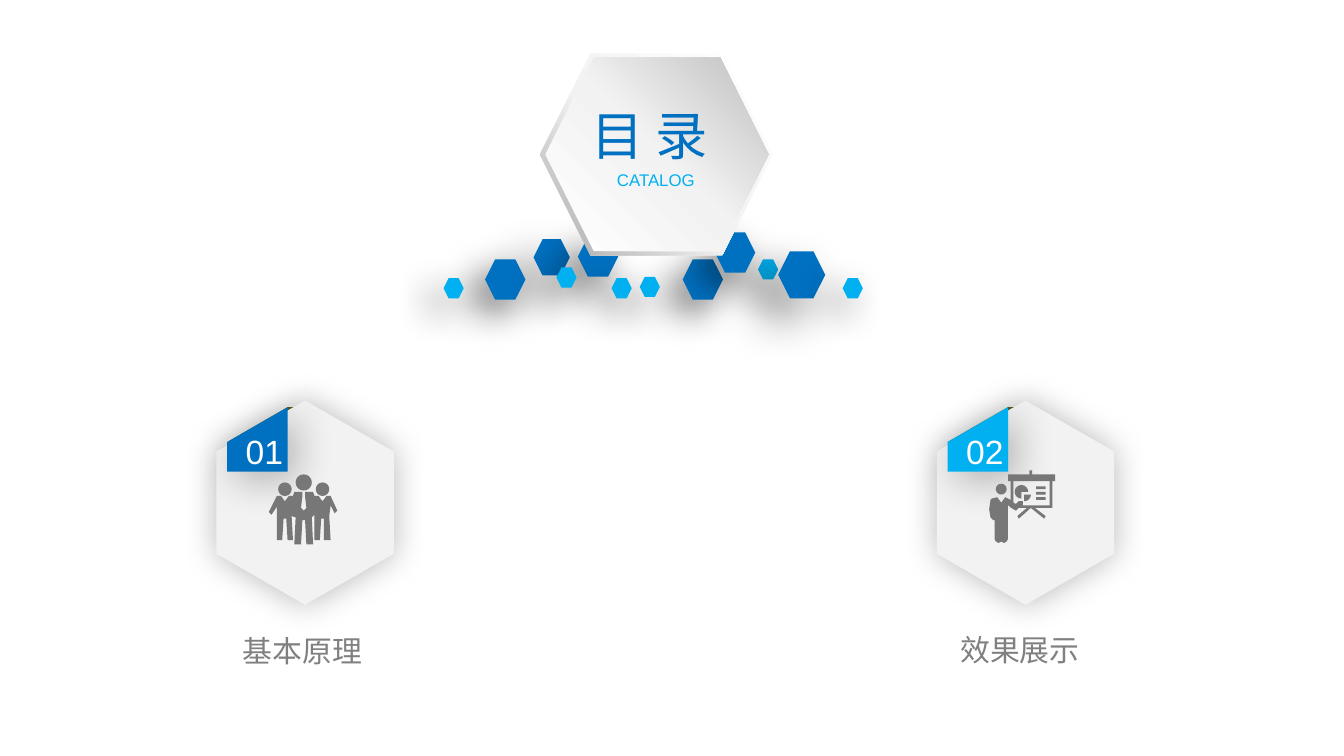
from copy import deepcopy
from dataclasses import dataclass
from math import cos, pi, sin

from pptx import Presentation
from pptx.dml.color import RGBColor
from pptx.enum.shapes import MSO_SHAPE as Shape
from pptx.enum.text import MSO_ANCHOR as Anchor, MSO_AUTO_SIZE as AutoSize, PP_ALIGN as Align
from pptx.oxml.ns import qn
from pptx.util import Pt
from lxml.etree import SubElement

PX = 9144  # 100 px to the inch
SLIDE_WIDTH = 1000 * PX
SLIDE_HEIGHT = SLIDE_WIDTH * 9 // 16


@dataclass(frozen=True)
class Theme:
    font: str = "Arial"
    blue: str = "0070C0"
    sky: str = "00B0F0"
    panel: str = "F2F2F2"
    fold: str = "5F6524"
    icon: str = "777777"
    label: str = "808080"
    white: str = "FFFFFF"
    title_size: int = 28
    number_size: int = 18
    label_size: int = 16
    subtitle_size: int = 9


THEME = Theme()

# Shadows: opacity %, blur pt, distance pt, direction in degrees
PANEL_SHADOW = (28, 18, 0, 0)
TAB_SHADOW = (28, 22, 6, 45)
NEAR_SHADOW = (60, 20, 10, 135)
FAR_SHADOW = (50, 25, 15, 135)

# Small hexagons, back to front: left, top, size
HEXAGONS = [
    (508, 193, 30), (476, 206, 15), (564, 193, 15), (397, 178, 27),
    (430, 176, 30), (455, 207, 15), (579, 187, 35), (361, 193, 30),
    (330, 207, 15), (532, 173, 30), (414, 199, 15), (627, 207, 15),
]


def arc(x, y, radius, start=0, end=360):
    """Points along an arc, clockwise from the right, in degrees."""
    angles = [(start + (end - start) * i / 24) * pi / 180 for i in range(25)]
    return [(x + radius * cos(a), y + radius * sin(a)) for a in angles]


def rectangle(left, top, right, bottom):
    return [(left, top), (right, top), (right, bottom), (left, bottom)]


PEOPLE = [
    arc(26, 6, 6), arc(40, 11, 5), arc(12, 11, 5),
    [(17, 31), (18, 49), (14, 49), (13, 33), (11, 33), (10, 49), (6, 49), (6, 24),
     (2, 30), (0, 28), (6, 16), (9, 16), (12, 20), (15, 16), (18, 16), (19, 13),
     (25, 13), (25, 16), (24, 25), (26, 27), (28, 25), (27, 16), (27, 13), (33, 13),
     (34, 16), (37, 16), (40, 20), (43, 16), (46, 16), (51, 27), (49, 29), (46, 23),
     (45, 31), (46, 49), (41, 49), (41, 33), (39, 33), (38, 49), (34, 49), (34, 30),
     (32, 32), (33, 52), (28, 52), (27, 34), (25, 34), (24, 52), (19, 52), (20, 32)],
]
BOARD = [
    [(32, 3), (32, 0), (30, 0), (30, 3), (14, 3), (14, 8), (16, 8), (16, 28), (28, 28),
     (21, 34), (22, 36), (31, 28), (41, 36), (42, 34), (34, 28), (47, 28), (47, 8),
     (49, 8), (49, 3)],
    rectangle(18, 8, 45, 26),
    [(24, 16)] + arc(24, 16, 5, 90, 360),
    [(26, 18)] + arc(26, 18, 5, 0, 90),
] + [rectangle(35, top, 42, top + 2) for top in (12, 16, 20)]
SPEAKER = [
    arc(9, 14, 4),
    [(14, 51), (13, 53), (11, 54), (9, 53), (7, 54), (5, 53), (4, 51), (4, 37), (3, 37),
     (1, 35), (0, 29), (1, 22), (2, 21), (6, 20), (9, 24), (12, 20), (16, 22), (18, 24),
     (20, 25), (22, 23), (25, 23), (25, 26), (22, 28), (20, 30), (18, 29), (14, 26)],
]

# Cards: left, top, number, tab colour, icon offset, icon parts, label, label place
CARDS = [
    (161, 298, "01", THEME.blue, (39, 55), [PEOPLE], "基本原理", (150, 463)),
    (697, 298, "02", THEME.sky, (39, 52), [BOARD, SPEAKER], "效果展示", (684, 462)),
]


def finish(shape, color=None, shadow=None):
    """Remove the line, then set a solid fill and an outer shadow."""
    shape.line.fill.background()
    shape.shadow.inherit = False
    if color:
        shape.fill.solid()
        shape.fill.fore_color.rgb = RGBColor.from_string(color)
    if shadow:
        opacity, blur, distance, direction = shadow
        effects = shape._element.spPr.find(qn("a:effectLst"))
        outer = SubElement(effects, qn("a:outerShdw"), blurRad=str(Pt(blur)),
                           dist=str(Pt(distance)), dir=str(direction * 60000),
                           algn="ctr", rotWithShape="0")
        black = SubElement(outer, qn("a:srgbClr"), val="000000")
        SubElement(black, qn("a:alpha"), val=str(opacity * 1000))


def add_outline(slide, left, top, contours, color, shadow=None):
    """Draw closed contours, relative to left and top, as one freeform."""
    builder = None
    for contour in contours:
        points = [(round((left + x) * PX), round((top + y) * PX)) for x, y in contour]
        if builder is None:
            builder = slide.shapes.build_freeform(*points[0], scale=1.0)
        else:
            builder.move_to(*points[0])
        builder.add_line_segments(points[1:], close=True)
    finish(builder.convert_to_shape(), color, shadow)


def add_hexagon(slide, left, top, width, height):
    return slide.shapes.add_shape(Shape.HEXAGON, *(v * PX for v in (left, top, width, height)))


def set_text(shape, box, text, size, color, align=Align.LEFT, anchor=Anchor.TOP, inset=(10, 5)):
    for name, value in zip(("left", "top", "width", "height"), box):
        setattr(shape, name, value * PX)
    across, down = (value * PX for value in inset)
    frame = shape.text_frame
    frame_format = {"word_wrap": True, "auto_size": AutoSize.NONE, "vertical_anchor": anchor,
                    "margin_left": across, "margin_right": across,
                    "margin_top": down, "margin_bottom": down}
    for name, value in frame_format.items():
        setattr(frame, name, value)
    paragraph = frame.paragraphs[0]
    paragraph.alignment = align
    run = paragraph.add_run()
    run.text = text
    for name, value in {"name": THEME.font, "size": Pt(size)}.items():
        setattr(run.font, name, value)
    run.font.color.rgb = RGBColor.from_string(color)


def add_text(slide, box, *args, **options):
    set_text(slide.shapes.add_textbox(0, 0, 0, 0), box, *args, **options)


def add_caption(slide, left, top, text, size, color):
    add_text(slide, (left, top, 150, 42), text, size, color,
             align=Align.CENTER, anchor=Anchor.MIDDLE, inset=(7, 4))


def add_gradient_hexagon(slide, box, angle, stops):
    shape = add_hexagon(slide, *box)
    finish(shape)
    shape.fill.gradient()
    stop_list = shape._element.spPr.find(qn("a:gradFill")).find(qn("a:gsLst"))
    stop_list.insert(1, deepcopy(stop_list[0]))
    for stop, (position, color) in zip(shape.fill.gradient_stops, stops):
        stop.position = position
        stop.color.rgb = RGBColor.from_string(color)
    shape.fill.gradient_angle = 360 - angle


def add_header(slide, left, top):
    # Scattered hexagons: the smallest are sky blue
    for x, y, size in HEXAGONS:
        shape = add_hexagon(slide, x, y, size, size)
        finish(shape, THEME.sky if size == 15 else THEME.blue,
               FAR_SHADOW if size in (27, 35) else NEAR_SHADOW)
    # Bevelled badge: rim and face
    add_gradient_hexagon(slide, (left, top, 173, 150), 135,
                         [(0, THEME.white), (0.55, THEME.panel), (1, "A6A6A6")])
    add_gradient_hexagon(slide, (left + 4, top + 3, 166, 144), 315,
                         [(0, THEME.white), (0.51, THEME.panel), (1, "BFBFBF")])
    # Title, brought in front of the badge
    title = slide.shapes.title
    slide.shapes._spTree.append(title._element)
    set_text(title, (left + 28, top + 32, 122, 57), "目 录", THEME.title_size, THEME.blue)
    add_caption(slide, left + 11, top + 73, "CATALOG", THEME.subtitle_size, THEME.sky)


def add_card(slide, left, top, number, color, icon_offset, icon, label, label_place):
    # Fold, panel and numbered tab
    add_outline(slide, left, top, [[(8, 31), (53, 5), (66, 5), (66, 31)]], THEME.fold)
    panel = [(0, 114), (0, 38), (66, 0), (132, 38), (132, 114), (66, 152)]
    add_outline(slide, left, top, [panel], THEME.panel, PANEL_SHADOW)
    tab = [(8, 53), (53, 53), (53, 5), (8, 31)]
    add_outline(slide, left, top, [tab], color, TAB_SHADOW)
    add_text(slide, (left + 12, top + 18, 104, 40), number, THEME.number_size, THEME.white)
    # Icon and label
    for contours in icon:
        add_outline(slide, left + icon_offset[0], top + icon_offset[1], contours, THEME.icon)
    add_caption(slide, *label_place, label, THEME.label_size, THEME.label)


def main():
    presentation = Presentation()
    presentation.slide_width, presentation.slide_height = SLIDE_WIDTH, SLIDE_HEIGHT
    slide = presentation.slides.add_slide(presentation.slide_layouts[5])
    for card in CARDS:
        add_card(slide, *card)
    add_header(slide, 402, 40)
    presentation.save("out.pptx")


if __name__ == "__main__":
    main()
